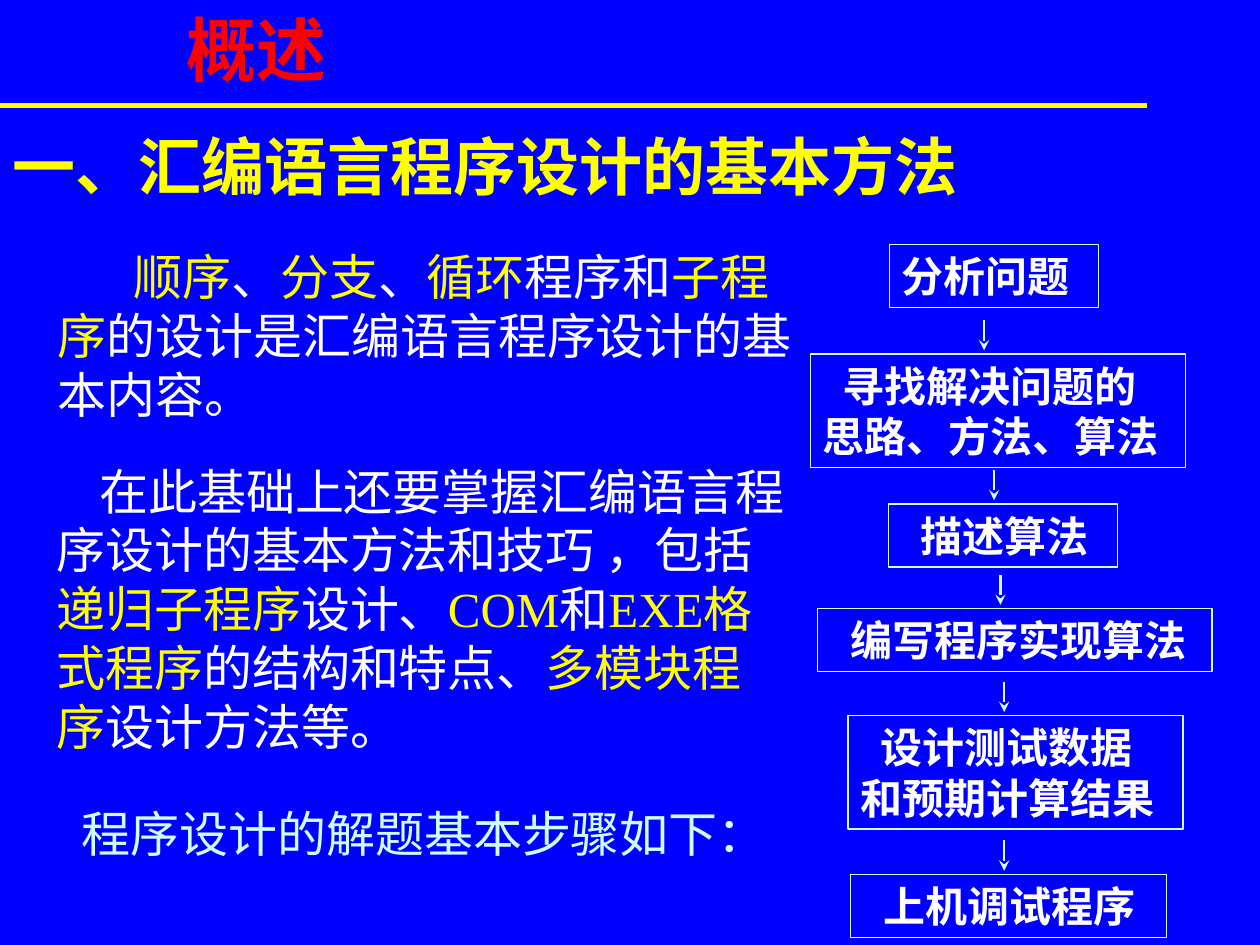
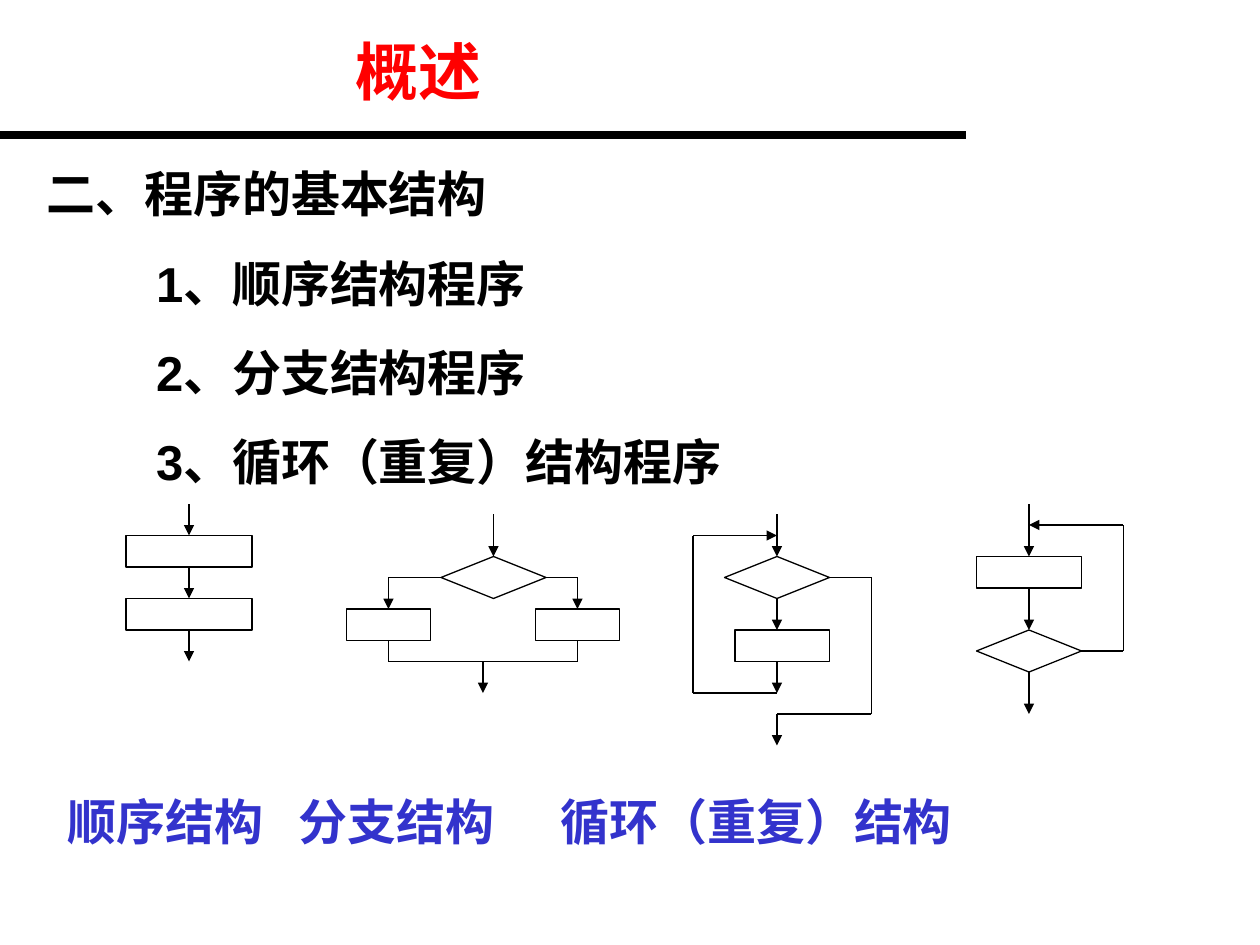
from lxml import etree
from pptx import Presentation, util as u
from pptx.dml.color import RGBColor
from pptx.enum import shapes, text
from pptx.oxml.ns import qn

BLUE = RGBColor(0x00, 0x00, 0xFF)
WHITE = RGBColor(0xFF, 0xFF, 0xFF)
BLACK = RGBColor(0x00, 0x00, 0x00)
YELLOW = RGBColor(0xFF, 0xFF, 0x00)
RED = RGBColor(0xFF, 0x00, 0x00)
PALE_CYAN = RGBColor(0xCC, 0xFF, 0xFF)
INDIGO = RGBColor(0x33, 0x33, 0xCC)

SERIF, SANS, CJK = "Times New Roman", "Arial", "Noto Sans CJK JP"

# The slide is 10 columns by 7.5 rows; flowcharts use cells of a twelfth of that.
WIDTH, HEIGHT = u.Inches(10), u.Inches(7.5)
UNIT = WIDTH // 10
CELL = UNIT // 12

RECTANGLE = shapes.MSO_SHAPE.RECTANGLE
DECISION = shapes.MSO_SHAPE.FLOWCHART_DECISION


def scaled(lengths, unit=UNIT):
    return [round(length * unit) for length in lengths]


def add_slide(presentation, background):
    slide = presentation.slides.add_slide(presentation.slide_layouts[6])
    slide.background.fill.solid()
    slide.background.fill.fore_color.rgb = background
    return slide


def write(frame, lines, size, color, font=SERIF, bold=False, margins=(0,), first=0, gap=0):
    """Fill a frame; pieces between bars in a line are highlighted in yellow."""
    frame.word_wrap = True
    for index, line in enumerate(lines):
        paragraph = frame.paragraphs[0] if index == 0 else frame.add_paragraph()
        properties = paragraph._p.get_or_add_pPr()
        properties.set("marL", str(round(margins[min(index, len(margins) - 1)] * UNIT)))
        properties.set("indent", str(round(first * UNIT)))
        paragraph.alignment = text.PP_ALIGN.LEFT
        if index:
            paragraph.space_before = u.Pt(gap)
        paragraph.font.size = u.Pt(size)
        paragraph.font.name = font
        paragraph.font.bold = bold
        for number, piece in enumerate(line.split("|")):
            if piece:
                run = paragraph.add_run()
                run.text = piece
                run.font.color.rgb = YELLOW if number % 2 else color


def add_text(slide, box, lines, size, color, anchor=text.MSO_ANCHOR.TOP, **style):
    frame = slide.shapes.add_textbox(*scaled(box)).text_frame
    frame.vertical_anchor = anchor
    write(frame, lines, size, color, **style)


def add_box(slide, kind, box, color, unit=UNIT):
    shape = slide.shapes.add_shape(kind, *scaled(box, unit))
    shape.shadow.inherit = False
    shape.fill.background()
    shape.line.color.rgb = color
    shape.line.width = u.Pt(0.75)
    return shape


def add_line(slide, start, end, color, width, head=None, unit=UNIT):
    connector = slide.shapes.add_connector(
        shapes.MSO_CONNECTOR.STRAIGHT, *scaled((*start, *end), unit))
    connector.line.color.rgb = color
    connector.line.width = u.Pt(width)
    if head:
        etree.SubElement(connector.line._get_or_add_ln(), qn("a:tailEnd"), type=head)
    etree.SubElement(connector._element.spPr, qn("a:effectLst"))
    return connector


def add_heading(slide, box, size, rule_y, rule_end, rule_color, rule_width):
    add_text(slide, box, ["概述"], size, RED, font=CJK, bold=True)
    add_line(slide, (0, rule_y), (rule_end, rule_y), rule_color, rule_width)


def add_step(slide, left, top, width, rows, label, first, arrow_x):
    shape = add_box(slide, RECTANGLE, (left, top, width, 0.1 + 0.4 * rows), PALE_CYAN)
    shape.text_frame.vertical_anchor = text.MSO_ANCHOR.TOP
    write(shape.text_frame, [label], 24, WHITE, bold=True, first=first)
    if arrow_x:
        add_line(slide, (arrow_x, top - 0.27), (arrow_x, top - 0.03), PALE_CYAN, 1.5, "stealth")


def add_flowchart(slide, nodes, routes, arrows):
    """Draw nodes, then bent routes through points, joined where they touch a node."""
    sites = {}
    for kind, left, top, width, height in nodes:
        shape = add_box(slide, kind, (left, top, width, height), BLACK, CELL)
        middle_x, middle_y = left + width / 2, top + height / 2
        points = ((middle_x, top), (left, middle_y),
                  (middle_x, top + height), (left + width, middle_y))
        sites.update({point: (shape, site) for site, point in enumerate(points)})
    for route, has_arrow in [(r, False) for r in routes] + [(a, True) for a in arrows]:
        for start, end in zip(route, route[1:]):
            head = "triangle" if has_arrow and end == route[-1] else None
            connector = add_line(slide, start, end, BLACK, 0.75, head, CELL)
            if start in sites:
                connector.begin_connect(*sites[start])
            if end in sites:
                connector.end_connect(*sites[end])


def down(x, *spans):
    return [((x, top), (x, bottom)) for top, bottom in spans]


def build_method_slide(presentation):
    slide = add_slide(presentation, BLUE)
    add_heading(slide, (1.38, 0, 1.73, 0.77), 40, 0.84, 9.1, YELLOW, 3)
    add_text(slide, (0, 0.69, 8.5, 1.25), ["一、汇编语言程序设计的基本方法"], 36, YELLOW,
             anchor=text.MSO_ANCHOR.MIDDLE, bold=True)

    # Explanation
    add_text(slide, (0.36, 1.91, 6.19, 1.5),
             ["|顺序|、|分支|、|循环|程序和|子程序|的设计是汇编语言程序设计的基本内容。"],
             28, WHITE, first=0.6)
    add_text(slide, (0.35, 3.61, 6.01, 2.44),
             ["在此基础上还要掌握汇编语言程序设计的基本方法和技巧 ，包括|递归子程序|设计、"
              "|COM|和|EXE格式程序|的结构和特点、|多模块程序|设计方法等。"],
             28, WHITE, first=0.34)
    add_text(slide, (0.55, 6.33, 5.41, 0.57), ["程序设计的解题基本步骤如下："], 28, PALE_CYAN)

    # Solving steps: left, top, width, text rows, label, first-line indent, arrow above
    steps = [
        (7.06, 1.94, 1.66, 1, "分析问题", 0, None),
        (6.43, 2.81, 2.98, 2, "寻找解决问题的思路、方法、算法", 0.16, 7.81),
        (7.05, 4.00, 1.82, 1, "描述算法", 0.16, 7.89),
        (6.49, 4.83, 3.13, 1, "编写程序实现算法", 0.16, 7.94),
        (6.73, 5.68, 2.66, 2, "设计测试数据和预期计算结果", 0.16, 7.97),
        (6.75, 6.94, 2.51, 1, "上机调试程序", 0.16, 7.97),
    ]
    for step in steps:
        add_step(slide, *step)


def build_structure_slide(presentation):
    slide = add_slide(presentation, WHITE)
    add_heading(slide, (2.72, 0.21, 1.58, 0.7), 36, 1.07, 7.67, BLACK, 4.5)
    add_text(slide, (0.27, 1.25, 9.48, 2.7),
             ["二、程序的基本结构", "1、顺序结构程序", "2、分支结构程序", "3、循环（重复）结构程序"],
             28, BLACK, font=SANS, bold=True, margins=(0, 0.87), gap=17.5)

    # Sequence
    add_flowchart(slide, [(RECTANGLE, 12, top, 12, 3) for top in (51, 57)], [],
                  down(18, (48, 51), (54, 57), (60, 63)))
    # Branch
    add_flowchart(slide,
                  [(DECISION, 42, 53, 10, 4), (RECTANGLE, 33, 58, 8, 3), (RECTANGLE, 51, 58, 8, 3)],
                  [[(37, 61), (37, 63), (55, 63), (55, 61)]],
                  [[(42, 55), (37, 55), (37, 58)], [(52, 55), (55, 55), (55, 58)],
                   *down(46, (63, 66)), *down(47, (49, 53))])
    # Loop that tests first
    add_flowchart(slide,
                  [(DECISION, 69, 53, 10, 4), (RECTANGLE, 70, 60, 9, 3)], [],
                  [*down(74, (49, 53), (57, 60), (63, 66)),
                   [(74, 66), (66, 66), (66, 51), (74, 51)],
                   [(79, 55), (83, 55), (83, 68), (74, 68), (74, 71)]])
    # Loop that tests last
    add_flowchart(slide,
                  [(RECTANGLE, 93, 53, 10, 3), (DECISION, 93, 60, 10, 4)], [],
                  [*down(98, (48, 53), (56, 60), (64, 68)),
                   [(103, 62), (107, 62), (107, 50), (98, 50)]])

    # Captions
    for left, width, caption in [(0.44, 1.8, "顺序结构"), (2.27, 1.8, "分支结构"),
                                 (4.35, 3.5, "循环（重复）结构")]:
        add_text(slide, (left, 6.23, width, 0.57), [caption], 28, INDIGO, font=CJK, bold=True)


def main():
    presentation = Presentation()
    presentation.slide_width, presentation.slide_height = WIDTH, HEIGHT
    build_method_slide(presentation)
    build_structure_slide(presentation)
    presentation.save("out.pptx")


if __name__ == "__main__":
    main()
